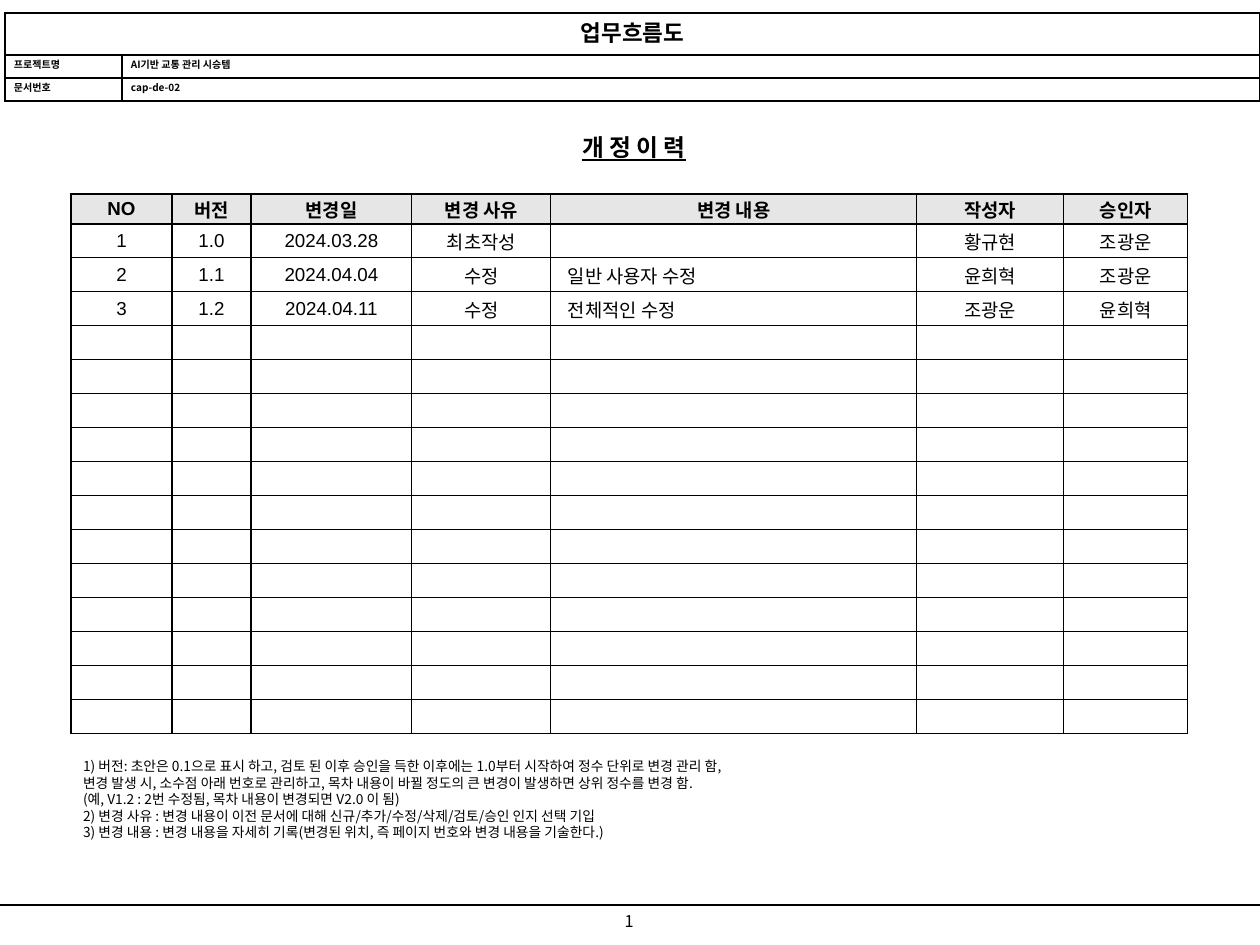
from dataclasses import dataclass

from lxml.etree import SubElement
from pptx import Presentation
from pptx.dml.color import RGBColor
from pptx.enum.shapes import MSO_CONNECTOR
from pptx.enum.text import MSO_ANCHOR, MSO_AUTO_SIZE, PP_ALIGN
from pptx.oxml.ns import qn
from pptx.util import Emu, Pt

PX = 10160


def px(n):
    return Emu(n * PX)


@dataclass(frozen=True)
class Theme:
    ink: RGBColor = RGBColor(0, 0, 0)
    paper: RGBColor = RGBColor(255, 255, 255)
    head: RGBColor = RGBColor(0xE6, 0xE6, 0xE6)
    korean: str = "Noto Sans CJK KR"
    latin: str = "Arial"
    title: int = 19
    doc_title: int = 18
    cell: int = 15
    page: int = 13
    note: int = 11
    label: int = 8
    line: int = 1


class Sheet:
    def __init__(self, prs, theme):
        self.theme = theme
        self.s = prs.slides.add_slide(prs.slide_layouts[1])

    def place(self, sp, box):
        for name, n in zip(("left", "top", "width", "height"), box):
            setattr(sp, name, px(n))

    def add_text(self, p, text, size, font=None, align=PP_ALIGN.LEFT, **fmt):
        p.alignment = align
        r = p.add_run()
        r.text = text
        style = {"size": Pt(size), "name": font or self.theme.korean, "bold": False, **fmt}
        for name, value in style.items():
            setattr(r.font, name, value)
        r.font.color.rgb = self.theme.ink
        SubElement(r.font._element, qn("a:ea"), typeface=self.theme.korean)

    def indent(self, p, left, first):
        pPr = p._p.get_or_add_pPr()
        pPr.set("marL", str(px(left)))
        pPr.set("indent", str(px(first)))
        return pPr

    def frame(self, sp, **fmt):
        tf = sp.text_frame
        style = {"margin_left": px(12), "margin_right": px(12), "margin_top": px(6),
                 "margin_bottom": px(6), "word_wrap": True,
                 "auto_size": MSO_AUTO_SIZE.NONE, **fmt}
        for name, value in style.items():
            setattr(tf, name, value)
        return tf

    def title(self, text, box):
        sp = self.s.shapes.title
        self.place(sp, box)
        tf = self.frame(sp, vertical_anchor=MSO_ANCHOR.MIDDLE)
        self.add_text(tf.paragraphs[0], text, self.theme.title,
                      align=PP_ALIGN.CENTER, bold=True, underline=True)

    def notes(self, lines, box, pitch):
        sp = self.s.placeholders[1]
        self.place(sp, box)
        tf = self.frame(sp, vertical_anchor=MSO_ANCHOR.TOP)
        for i, text in enumerate(lines):
            p = tf.add_paragraph() if i else tf.paragraphs[0]
            p.line_spacing = Pt(pitch)
            p.space_before = Pt(0)
            SubElement(self.indent(p, 0, 0), qn("a:buNone"))
            self.add_text(p, text, self.theme.note)

    def page_number(self, text, box):
        sp = self.s.shapes.add_textbox(*map(px, box))
        tf = self.frame(sp, word_wrap=False)
        self.add_text(tf.paragraphs[0], text, self.theme.page, align=PP_ALIGN.CENTER)

    def rule(self, x1, y1, x2, y2):
        c = self.s.shapes.add_connector(MSO_CONNECTOR.STRAIGHT, *map(px, (x1, y1, x2, y2)))
        c.line.color.rgb = self.theme.ink
        c.line.width = Pt(self.theme.line)
        SubElement(c._element.spPr, qn("a:effectLst"))

    def border(self, cell):
        tcPr = cell._tc.get_or_add_tcPr()
        for side in ("lnL", "lnR", "lnT", "lnB"):
            ln = SubElement(tcPr, qn(f"a:{side}"), w=str(Pt(self.theme.line)))
            fill = SubElement(ln, qn("a:solidFill"))
            SubElement(fill, qn("a:srgbClr"), val=str(self.theme.ink))

    def table(self, left, top, cols, rows, mx, my, anchor):
        box = (left, top, sum(cols), sum(rows))
        tbl = self.s.shapes.add_table(len(rows), len(cols), *map(px, box)).table
        tbl.first_row = tbl.horz_banding = False
        for col, n in zip(tbl.columns, cols):
            col.width = px(n)
        for row, n in zip(tbl.rows, rows):
            row.height = px(n)
        style = {"margin_left": px(mx), "margin_right": px(mx), "margin_top": px(my),
                 "margin_bottom": px(my), "vertical_anchor": anchor}
        for cell in tbl.iter_cells():
            for name, value in style.items():
                setattr(cell, name, value)
            self.border(cell)
            cell.fill.background()
        return tbl

    def fill(self, cell, color):
        cell.fill.solid()
        cell.fill.fore_color.rgb = color

    def document_header(self, name, fields):
        t = self.theme
        tbl = self.table(5, 13, [117, 1138], [42] + [23] * len(fields), 9, 2, MSO_ANCHOR.TOP)
        for cell in tbl.iter_cells():
            self.fill(cell, t.paper)
        tbl.cell(0, 0).merge(tbl.cell(0, 1))
        self.add_text(tbl.cell(0, 0).text_frame.paragraphs[0], name, t.doc_title,
                      align=PP_ALIGN.CENTER, bold=True)
        for i, field in enumerate(fields, 1):
            for j, text in enumerate(field):
                self.add_text(tbl.cell(i, j).text_frame.paragraphs[0], text, t.label, bold=True)

    def history(self, heads, records, blank):
        t = self.theme
        rows = [30] + [34] * (len(records) + blank)
        tbl = self.table(71, 194, [101, 79, 161, 139, 366, 147, 124], rows,
                         8, 0, MSO_ANCHOR.MIDDLE)
        for i, record in enumerate([heads, *records]):
            for j, text in enumerate(record):
                cell = tbl.cell(i, j)
                if i == 0:
                    self.fill(cell, t.head)
                if not text:
                    continue
                p = cell.text_frame.paragraphs[0]
                detail = i > 0 and heads[j] == "변경 내용"
                self.indent(p, 55, -46 if detail else -59)
                self.add_text(p, text, t.cell, t.latin, bold=i == 0,
                              align=PP_ALIGN.LEFT if detail else PP_ALIGN.CENTER)


HEADS = ["NO", "버전", "변경일", "변경 사유", "변경 내용", "작성자", "승인자"]
RECORDS = [
    ["1", "1.0", "2024.03.28", "최초작성", "", "황규현", "조광운"],
    ["2", "1.1", "2024.04.04", "수정", "일반 사용자 수정", "윤희혁", "조광운"],
    ["3", "1.2", "2024.04.11", "수정", "전체적인 수정", "조광운", "윤희혁"],
]
FIELDS = [("프로젝트명", "AI기반 교통 관리 시승템"), ("문서번호", "cap-de-02")]
NOTES = [
    "1) 버전: 초안은 0.1으로 표시 하고, 검토 된 이후 승인을 득한 이후에는 1.0부터 시작하여 정수 단위로 변경 관리 함,",
    "변경 발생 시, 소수점 아래 번호로 관리하고, 목차 내용이 바뀔 정도의 큰 변경이 발생하면 상위 정수를 변경 함.",
    "(예, V1.2 : 2번 수정됨, 목차 내용이 변경되면 V2.0 이 됨)",
    "2) 변경 사유 : 변경 내용이 이전 문서에 대해 신규/추가/수정/삭제/검토/승인 인지 선택 기입",
    "3) 변경 내용 : 변경 내용을 자세히 기록(변경된 위치, 즉 페이지 번호와 변경 내용을 기술한다.)",
]


def main():
    prs = Presentation()
    prs.slide_width, prs.slide_height = px(1260), px(945)
    sheet = Sheet(prs, Theme())
    sheet.page_number("1", (605, 905, 48, 32))
    sheet.rule(0, 905, 1260, 905)
    sheet.title("개 정 이 력", (524, 126, 220, 42))
    sheet.history(HEADS, RECORDS, blank=12)
    sheet.notes(NOTES, (71, 752, 1118, 95), pitch=13.2)
    sheet.document_header("업무흐름도", FIELDS)
    prs.save("out.pptx")


if __name__ == "__main__":
    main()
